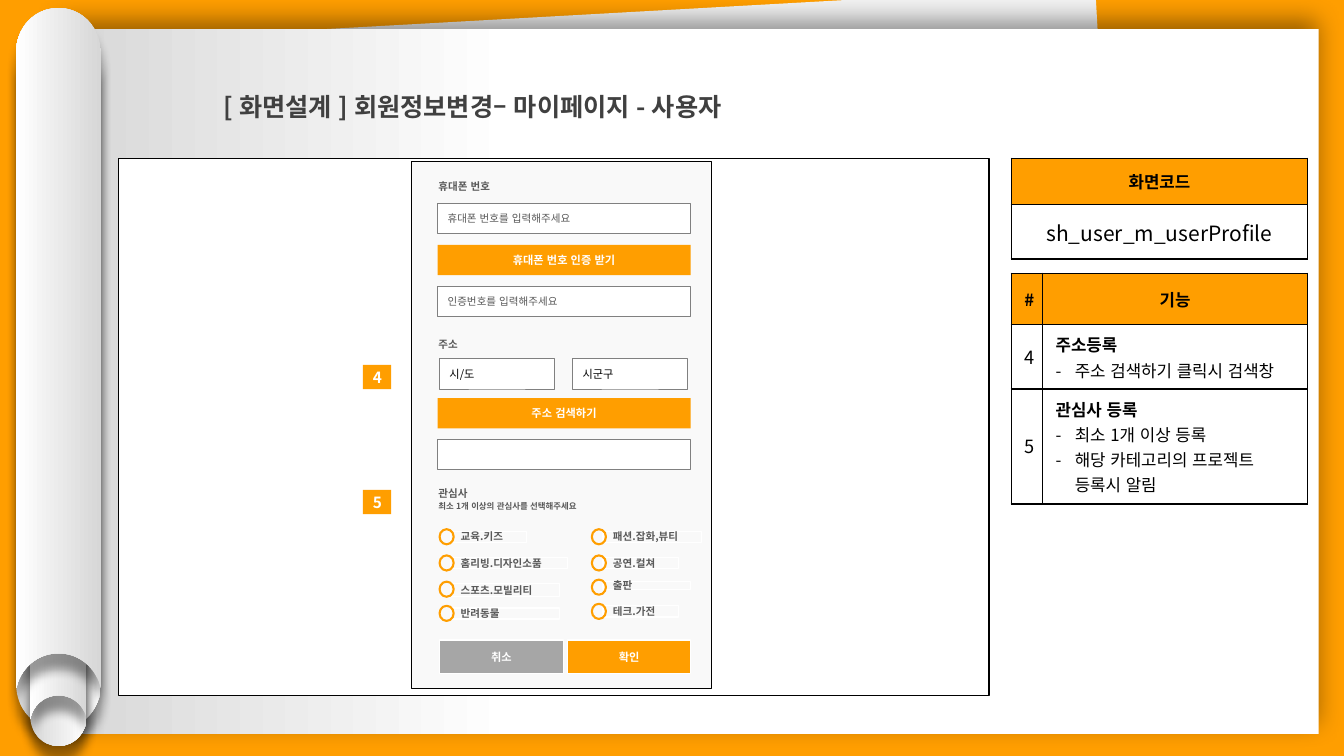
from lxml.etree import SubElement
from pptx import Presentation
from pptx.dml.color import RGBColor
from pptx.enum.lang import MSO_LANGUAGE_ID
from pptx.enum.shapes import MSO_SHAPE
from pptx.enum.text import MSO_ANCHOR, MSO_AUTO_SIZE, PP_ALIGN
from pptx.oxml.ns import qn
from pptx.util import Inches, Pt

FONT = "Noto Sans CJK KR"
ORANGE, WHITE, BLACK, GRAY = "FF9E00", "FFFFFF", "000000", "595959"
LEFT, CENTER = PP_ALIGN.LEFT, PP_ALIGN.CENTER

# Phone form grid, in inches
FORM_LEFT, FORM_WIDTH = 4.34, 2.51
FIELD_HEIGHT, FIELD_PITCH = 0.3, 0.41
PHONE_TOP, ADDRESS_TOP = 2.02, 3.95
LABEL_LEFT = 4.25
OPTION_LEFT, OPTION_PITCH = 4.36, 1.51


def color(hex_text):
    return RGBColor.from_string(hex_text)


def format_paragraph(para, size, hex_text, bold=False, align=LEFT):
    para.alignment = align
    for span in para.runs:
        font = span.font
        font.size, font.bold = Pt(size), bold
        font.color.rgb = color(hex_text)
        font.name = FONT
        font.language_id = MSO_LANGUAGE_ID.KOREAN
        SubElement(font._element, qn("a:ea"), typeface=FONT)


def paint(shape, fill=None, line=None, width=0.75):
    shape.shadow.inherit = False
    if fill:
        shape.fill.solid()
        shape.fill.fore_color.rgb = color(fill)
    else:
        shape.fill.background()
    if line:
        shape.line.color.rgb = color(line)
        shape.line.width = Pt(width)
    else:
        shape.line.fill.background()


def shade(shape, stops, blur, distance, direction):
    """Give a paper surface its gradient and its soft shadow."""
    paint(shape)
    shape.fill.gradient()
    shape.fill.gradient_angle = 180
    for stop, (position, hex_text) in zip(shape.fill.gradient_stops, stops):
        stop.position = position
        stop.color.rgb = color(hex_text)
    effects = shape._element.spPr.find(qn("a:effectLst"))
    shadow = SubElement(effects, qn("a:outerShdw"), blurRad=str(Pt(blur)), dist=str(Pt(distance)),
                        dir=str(direction * 60000), algn="ctr", rotWithShape="0")
    tint = SubElement(shadow, qn("a:srgbClr"), val=BLACK)
    SubElement(tint, qn("a:alpha"), val="40000")


def add_box(shapes, area, fill=None, line=None, width=0.75, kind=MSO_SHAPE.RECTANGLE):
    box = shapes.add_shape(kind, *map(Inches, area))
    paint(box, fill, line, width)
    return box


def write(box, text, size, hex_text, bold=False, align=LEFT):
    frame = box.text_frame
    frame.word_wrap = True
    frame.vertical_anchor = MSO_ANCHOR.MIDDLE
    frame.text = text
    format_paragraph(frame.paragraphs[0], size, hex_text, bold, align)


def add_label(slide, text, top, width, height, size=7.5):
    box = slide.shapes.add_textbox(*map(Inches, (LABEL_LEFT, top, width, height)))
    write(box, text, size, GRAY, bold=True)


def add_field(slide, text, top, left=FORM_LEFT, width=FORM_WIDTH, size=7.5, hex_text=GRAY):
    box = add_box(slide.shapes, (left, top, width, FIELD_HEIGHT), WHITE, "808080", 0.5)
    if text:
        write(box, text, size, hex_text)


def add_button(slide, text, area, fill=ORANGE, line=None, size=8):
    box = add_box(slide.shapes, area, fill, line, 1)
    write(box, text, size, WHITE, bold=True, align=CENTER)


def add_option(slide, text, column, top, width, height):
    left = OPTION_LEFT + column * OPTION_PITCH
    group = slide.shapes.add_group_shape()
    label = add_box(group.shapes, (left + 0.11, top + 0.02, width, height), None, WHITE, 1)
    write(label, text, 7.5, GRAY, bold=True)
    add_box(group.shapes, (left, top, 0.14, 0.15), None, ORANGE, 1.5, MSO_SHAPE.OVAL)


def add_roll(slide, left, top, width, height, turned=False):
    """Draw a tube with a domed top and a hollow foot."""
    radius = width / 2
    # Horizontal and vertical shares of the radius; "C" takes three points
    right_side = [("C", [(0.57, 0), (1, 0.47), (1, 1.05)])]
    foot = [("L", [(0.95, -0.17)]), ("C", [(0.79, -0.57), (0.43, -0.83), (0, -0.83)]),
            ("C", [(-0.43, -0.83), (-0.79, -0.57), (-0.95, -0.17)]), ("L", [(-1, 0)])]
    left_side = [("L", [(-1, 1.05)]), ("C", [(-1, 0.47), (-0.57, 0), (0, 0)])]
    parts = [(top, right_side), (top + height, [("L", [(1, 0)])] + foot), (top, left_side)]

    segments = [(kind, [(left + radius * (1 + x), base + radius * y) for x, y in points])
                for base, part in parts for kind, points in part]
    vertices = [(x * 1000, y * 1000) for _, points in segments for x, y in points]
    builder = slide.shapes.build_freeform((left + radius) * 1000, top * 1000, scale=Inches(1) / 1000)
    builder.add_line_segments(vertices, close=True)
    roll = builder.convert_to_shape()

    # Join each three points of a curve into one Bezier segment
    steps = iter(list(roll._element.iter(qn("a:lnTo"))))
    for kind, points in segments:
        group = [next(steps) for _ in points]
        if kind == "C":
            group[0].tag = qn("a:cubicBezTo")
            for step in group[1:]:
                group[0].append(step[0])
                step.getparent().remove(step)
    roll.rotation = 180 if turned else 0
    shade(roll, [(0, "D7D7D7"), (1, WHITE)], 7, 11, 90)


def format_cell(cell, lines, fill=None, size=12, bold=False, align=CENTER, spacing=None):
    cell.margin_left = cell.margin_right = Inches(0.13)
    cell.margin_top = cell.margin_bottom = Inches(0.07)
    cell.vertical_anchor = MSO_ANCHOR.MIDDLE if align == CENTER else MSO_ANCHOR.TOP
    cell.text_frame.text = "\n".join(lines)
    for index, para in enumerate(cell.text_frame.paragraphs):
        if spacing:
            para.line_spacing = Pt(spacing)
        if index:
            props = para._p.get_or_add_pPr()
            props.set("marL", str(Inches(0.19)))
            props.set("indent", str(-Inches(0.19)))
            SubElement(props, qn("a:buFont"), typeface=FONT)
            SubElement(props, qn("a:buChar"), char="-")
        format_paragraph(para, size, BLACK, bold and not index, align)
    props = cell._tc.get_or_add_tcPr()
    for side in ("a:lnL", "a:lnR", "a:lnT", "a:lnB"):
        border = SubElement(props, qn(side), w=str(Pt(1)))
        SubElement(SubElement(border, qn("a:solidFill")), qn("a:srgbClr"), val=BLACK)
    if fill:
        cell.fill.solid()
        cell.fill.fore_color.rgb = color(fill)
    else:
        cell.fill.background()


def add_grid(slide, top, columns, rows):
    area = (10.03, top, sum(columns), sum(rows))
    table = slide.shapes.add_table(len(rows), len(columns), *map(Inches, area)).table
    table.first_row = table.horz_banding = False
    for column, width in zip(table.columns, columns):
        column.width = Inches(width)
    for row, height in zip(table.rows, rows):
        row.height = Inches(height)
    return table


def add_paper(slide):
    add_box(slide.shapes, (0.91, 0.14, 10.15, 6.8), "F2F2F2").rotation = 356.8
    sheet = add_box(slide.shapes, (0.58, 0.29, 12.5, 6.99))
    shade(sheet, [(0.64, WHITE), (1, "D7D7D7")], 18, 6, 270)
    # Each turned roll shows its domed end at the bottom
    add_roll(slide, 0.16, 0.48, 0.84, 6.75, turned=True)
    add_roll(slide, 0.3, 2.88, 0.56, 4.52, turned=True)
    add_roll(slide, 0.3, 2.61, 0.56, 4.52)
    add_roll(slide, 0.16, 0.08, 0.84, 6.75)


def add_tables(slide):
    code = add_grid(slide, 1.57, [2.94], [0.46, 0.54])
    format_cell(code.cell(0, 0), ["화면코드"], ORANGE, bold=True)
    format_cell(code.cell(1, 0), ["sh_user_m_userProfile"], size=15)

    features = [("4", ["주소등록", "주소 검색하기 클릭시 검색창"]),
                ("5", ["관심사 등록", "최소 1개 이상 등록", "해당 카테고리의 프로젝트 등록시 알림"])]
    table = add_grid(slide, 2.71, [0.31, 2.63], [0.51, 0.63, 1.14])
    for column, heading in enumerate(["#", "기능"]):
        format_cell(table.cell(0, column), [heading], ORANGE, bold=True, spacing=18)
    for row, (number, lines) in enumerate(features, start=1):
        format_cell(table.cell(row, 0), [number], size=13, spacing=18)
        format_cell(table.cell(row, 1), lines, bold=True, align=LEFT, spacing=18)


def add_form(slide):
    add_box(slide.shapes, (1.18, 1.57, 8.63, 5.33), WHITE, BLACK)
    add_box(slide.shapes, (4.08, 1.6, 2.98, 5.23), "F9F9F9", BLACK)

    # Phone number
    add_label(slide, "휴대폰 번호", 1.77, 0.78, 0.15)
    add_field(slide, "휴대폰 번호를 입력해주세요", PHONE_TOP)
    add_button(slide, "휴대폰 번호 인증 받기", (FORM_LEFT, PHONE_TOP + FIELD_PITCH, FORM_WIDTH, FIELD_HEIGHT))
    add_field(slide, "인증번호를 입력해주세요", PHONE_TOP + 2 * FIELD_PITCH)

    # Address
    for left, text in [(4.36, "시/도"), (5.68, "시군구")]:
        add_field(slide, text, 3.56, left, 1.14, 8, BLACK)
    add_label(slide, "주소", 3.34, 0.78, 0.15)
    add_button(slide, "주소 검색하기", (FORM_LEFT, ADDRESS_TOP, FORM_WIDTH, FIELD_HEIGHT))
    add_field(slide, "", ADDRESS_TOP + FIELD_PITCH)

    # Interests
    add_label(slide, "관심사", 4.84, 0.87, 0.11)
    add_label(slide, "최소 1개 이상의 관심사를 선택해주세요", 4.97, 2.2, 0.11, 6)
    options = [("교육.키즈", 0, 5.25, 0.75, 0.11), ("패션.잡화,뷰티", 1, 5.25, 0.98, 0.11),
               ("홈리빙.디자인소품", 0, 5.51, 1.16, 0.11), ("공연.컬쳐", 1, 5.51, 0.75, 0.11),
               ("스포츠.모빌리티", 0, 5.77, 1.08, 0.13), ("출판", 1, 5.75, 0.87, 0.08),
               ("반려동물", 0, 6.01, 1.08, 0.11), ("테크.가전", 1, 5.99, 0.75, 0.11)]
    for option in options:
        add_option(slide, *option)

    # Closing buttons and numbered markers
    add_button(slide, "취소", (4.36, 6.35, 1.23, 0.33), "A6A6A6", WHITE)
    add_button(slide, "확인", (5.63, 6.35, 1.22, 0.33), ORANGE, WHITE)
    for number, top in [("4", 3.62), ("5", 4.86)]:
        add_button(slide, number, (3.6, top, 0.28, 0.24), size=11)


def add_title(slide):
    title = slide.shapes.title
    title.left, title.top, title.width, title.height = map(Inches, (2.15, 0.72, 7.21, 0.53))
    write(title, "[ 화면설계 ] 회원정보변경– 마이페이지 - 사용자", 18, "404040", bold=True)
    frame = title.text_frame
    frame.vertical_anchor = MSO_ANCHOR.TOP
    frame.auto_size = MSO_AUTO_SIZE.SHAPE_TO_FIT_TEXT
    frame.margin_left = frame.margin_right = Inches(0.07)
    frame.margin_top = frame.margin_bottom = Inches(0.04)
    frame.paragraphs[0].line_spacing = 1.5
    frame.paragraphs[0].space_before = Pt(0)
    # Bring the title in front of the paper
    title._element.getparent().append(title._element)


def main():
    deck = Presentation()
    deck.slide_width, deck.slide_height = Inches(13.33), Inches(7.5)
    slide = deck.slides.add_slide(deck.slide_layouts[5])
    slide.background.fill.solid()
    slide.background.fill.fore_color.rgb = color(ORANGE)
    add_paper(slide)
    add_tables(slide)
    add_form(slide)
    add_title(slide)
    deck.save("out.pptx")


if __name__ == "__main__":
    main()
